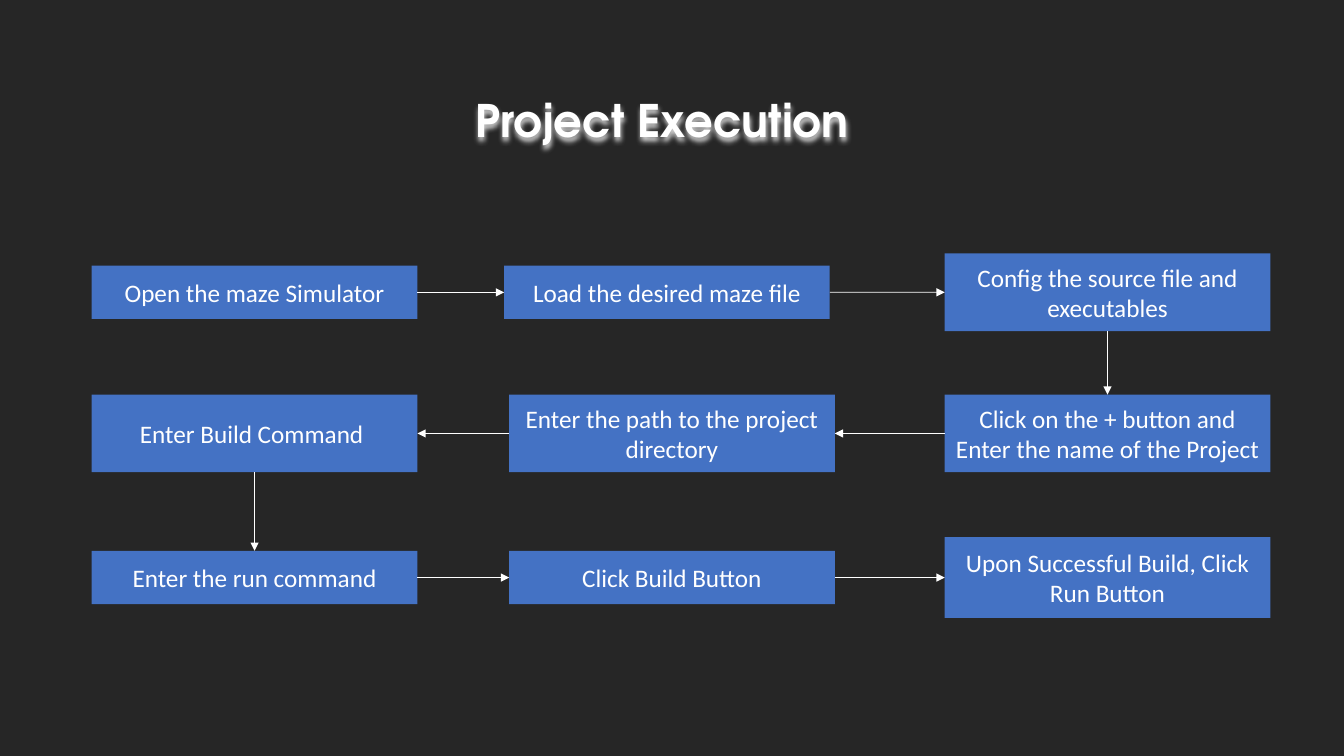
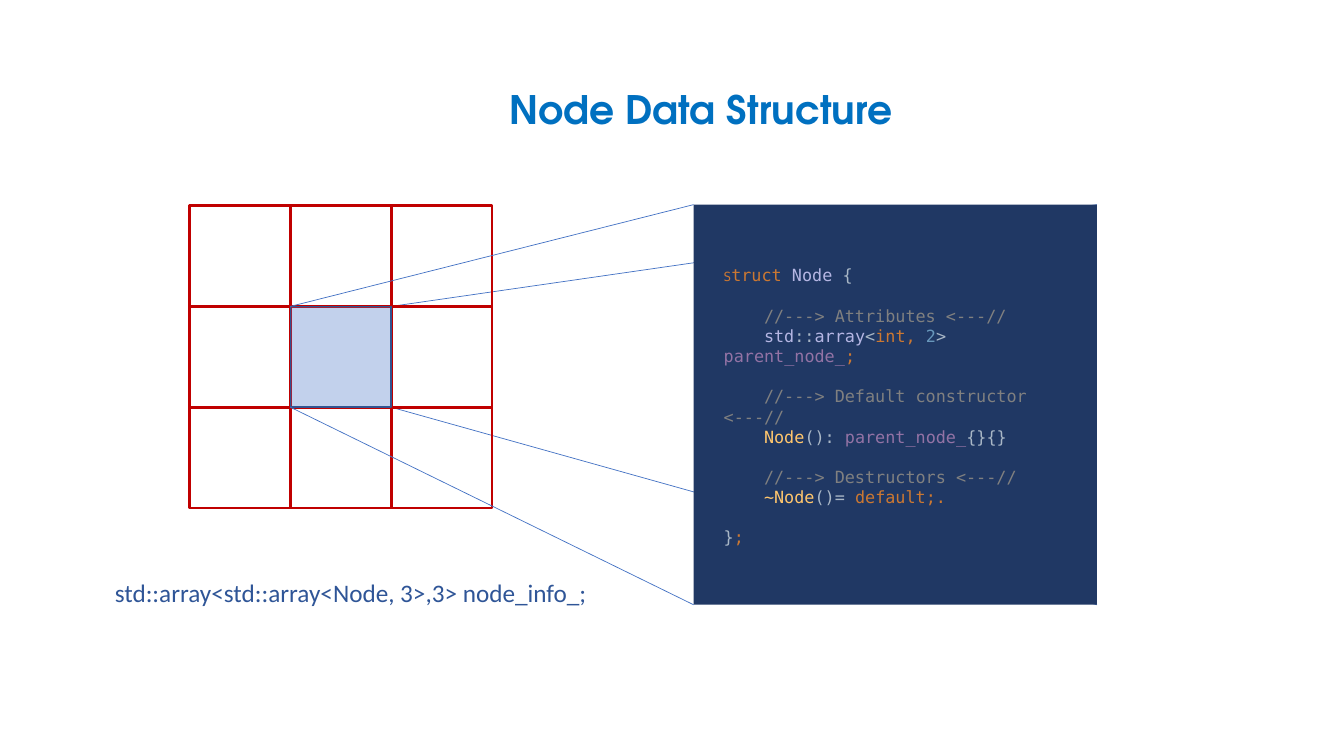
"""Build two slides: a project execution flow and a node data structure."""
from lxml import etree
from pptx import Presentation
from pptx.dml.color import RGBColor
from pptx.enum import shapes, text
from pptx.oxml.ns import qn
from pptx.util import Inches, Pt

WHITE = RGBColor(0xFF, 0xFF, 0xFF)
DARK = RGBColor(0x26, 0x26, 0x26)
BLUE = RGBColor(0x44, 0x72, 0xC4)
TITLE_BLUE = RGBColor(0x00, 0x70, 0xC0)
CELL_EDGE = RGBColor(0x32, 0x54, 0x91)
CAPTION_BLUE = RGBColor(0x2F, 0x55, 0x97)
NAVY = RGBColor(0x20, 0x38, 0x64)
RED = RGBColor(0xC0, 0x00, 0x00)
KEYWORD = RGBColor(0xCC, 0x78, 0x32)
TYPE = RGBColor(0xB5, 0xB6, 0xE3)
PLAIN = RGBColor(0xA9, 0xB7, 0xC6)
COMMENT = RGBColor(0x80, 0x80, 0x80)
NUMBER = RGBColor(0x68, 0x97, 0xBB)
MEMBER = RGBColor(0x93, 0x73, 0xA5)
METHOD = RGBColor(0xFF, 0xC6, 0x6D)

TITLE_FONT, BODY_FONT, CODE_FONT = "TeX Gyre Adventor", "Calibri", "DejaVu Sans Mono"
TOP, LEFT, BOTTOM, RIGHT = range(4)

STEP_W = 3.23
STEPS = [
    ("Open the maze Simulator", 0.91, 2.9, 0.53),
    ("Load the desired maze file", 5, 2.9, 0.53),
    ("Config the source file and executables", 9.37, 2.9, 0.77),
    ("Click on the + button and Enter the name of the Project", 9.37, 4.3, 0.77),
    ("Enter the path to the project directory", 5.05, 4.3, 0.77),
    ("Enter Build Command ", 0.91, 4.3, 0.77),
    ("Enter the run command", 0.91, 5.73, 0.53),
    ("Click Build Button", 5.05, 5.73, 0.53),
    ("Upon Successful Build, Click Run Button", 9.37, 5.73, 0.8),
]
ROUTE = [(RIGHT, LEFT)] * 2 + [(BOTTOM, TOP)] + [(LEFT, RIGHT)] * 2 \
    + [(BOTTOM, TOP)] + [(RIGHT, LEFT)] * 2

GRID_X, GRID_Y, CELL, GRID_N = 1.88, 2.04, 1, 3
PANEL = (6.88, 2.03, 4, 3.97)
CODE_SIZE, CODE_INDENT, CODE_GAP = 12, 0.4, 14.4
CODE = [
    (0, 0, [("S", KEYWORD, 9), ("truct ", KEYWORD), ("Node ", TYPE), ("{", PLAIN)]),
    (1, 1, [("//---> Attributes <---//", COMMENT)]),
    (1, 0, [("std", TYPE), ("::", PLAIN), ("array", TYPE), ("<", PLAIN), ("int, ", KEYWORD),
            ("2", NUMBER), ("> ", PLAIN), ("parent_node_", MEMBER), (";", KEYWORD)]),
    (1, 1, [("//---> Default constructor <---//", COMMENT)]),
    (1, 0, [("Node", METHOD), ("(): ", PLAIN), ("parent_node_", MEMBER), ("{}{}", PLAIN)]),
    (1, 1, [("//---> Destructors <---//", COMMENT)]),
    (1, 0, [("~Node", METHOD), ("()= ", PLAIN), ("default;.", KEYWORD)]),
    (0, 1, [("}", PLAIN), (";", KEYWORD)]),
]


def add_slide(prs, color):
    s = prs.slides.add_slide(prs.slide_layouts[6])
    s.background.fill.solid()
    s.background.fill.fore_color.rgb = color
    return s


def add_run(p, words, font, size, color, bold=False):
    r = p.add_run()
    r.text = words
    r.font.name, r.font.size, r.font.bold = font, Pt(size), bold
    r.font.color.rgb = color


def add_box(s, box, anchor=text.MSO_ANCHOR.TOP):
    sp = s.shapes.add_textbox(*map(Inches, box))
    sp.text_frame.word_wrap = True
    sp.text_frame.vertical_anchor = anchor
    return sp


def add_title(s, words, box, size, color):
    sp = add_box(s, box, text.MSO_ANCHOR.MIDDLE)
    p = sp.text_frame.paragraphs[0]
    p.alignment, p.line_spacing = text.PP_ALIGN.CENTER, 0.9
    add_run(p, words, TITLE_FONT, size, color, True)
    return sp


def add_rect(s, box, fill=None, line=None, width=1):
    sp = s.shapes.add_shape(shapes.MSO_SHAPE.RECTANGLE, *map(Inches, box))
    sp.shadow.inherit = False
    if fill is None:
        sp.fill.background()
    else:
        sp.fill.solid()
        sp.fill.fore_color.rgb = fill
    if line is None:
        sp.line.fill.background()
    else:
        sp.line.color.rgb, sp.line.width = line, Pt(width)
    return sp


def add_line(s, start, end, color, width=0.5):
    ln = s.shapes.add_connector(shapes.MSO_CONNECTOR.STRAIGHT, *map(Inches, start + end))
    ln.line.color.rgb, ln.line.width = color, Pt(width)
    etree.SubElement(ln.element.spPr, qn("a:effectLst"))
    return ln


def add_arrow(s, source, target, sides):
    ln = add_line(s, (0, 0), (1, 1), WHITE)
    ln.begin_connect(source, sides[0])
    ln.end_connect(target, sides[1])
    etree.SubElement(ln.element.spPr.find(qn("a:ln")), qn("a:tailEnd"), type="triangle")


def add_text_shadow(sp):
    effects = etree.SubElement(sp.element.spPr, qn("a:effectLst"))
    shadow = etree.SubElement(effects, qn("a:outerShdw"), blurRad="50800", dist="38100",
                              dir="5400000", algn="t", rotWithShape="0")
    clr = etree.SubElement(shadow, qn("a:srgbClr"), val=str(WHITE))
    etree.SubElement(clr, qn("a:alpha"), val="80000")


def build_execution(prs):
    s = add_slide(prs, DARK)
    add_text_shadow(add_title(s, "Project Execution", (4.45, 0.49, 4.23, 1.45), 32, WHITE))
    steps = []
    for words, x, middle, h in STEPS:
        sp = add_rect(s, (x, middle - h / 2, STEP_W, h), BLUE)
        sp.text_frame.word_wrap = True
        sp.text_frame.vertical_anchor = text.MSO_ANCHOR.MIDDLE
        p = sp.text_frame.paragraphs[0]
        p.alignment = text.PP_ALIGN.CENTER
        add_run(p, words, BODY_FONT, 18, WHITE)
        steps.append(sp)
    for source, target, sides in zip(steps, steps[1:], ROUTE):
        add_arrow(s, source, target, sides)


def build_node(prs):
    s = add_slide(prs, WHITE)
    x, y, w, h = PANEL
    cell_x, cell_y = GRID_X + CELL, GRID_Y + CELL
    corners = [((cell_x + dx * CELL, cell_y + dy * CELL), (x + dx * w, y + dy * h))
               for dx in (1, 0) for dy in (1, 0)]
    for start, end in corners[:2]:
        add_line(s, start, end, BLUE)
    add_title(s, "Node Data Structure", (4.75, 0.78, 4.4, 0.66), 28, TITLE_BLUE)

    side = GRID_N * CELL
    add_rect(s, (GRID_X, GRID_Y, side, side), line=RED, width=2)
    for i in range(1, GRID_N):
        at_x, at_y = GRID_X + i * CELL, GRID_Y + i * CELL
        add_line(s, (at_x, GRID_Y), (at_x, GRID_Y + side), RED, 2)
        add_line(s, (GRID_X, at_y), (GRID_X + side, at_y), RED, 2)
    cell = add_rect(s, (cell_x, cell_y, CELL, CELL), BLUE, CELL_EDGE)
    clr = cell.element.spPr.find(qn("a:solidFill")).find(qn("a:srgbClr"))
    etree.SubElement(clr, qn("a:alpha"), val="32000")

    add_rect(s, PANEL, NAVY)
    for start, end in corners[2:]:
        add_line(s, start, end, BLUE)

    tf = add_box(s, (7.08, 2.61, 3.67, 2.68)).text_frame
    tf.margin_top = Inches(0.02)
    for i, (level, gap, runs) in enumerate(CODE):
        p = tf.add_paragraph() if i else tf.paragraphs[0]
        p.space_before = Pt(gap * CODE_GAP)
        p._p.get_or_add_pPr().set("indent", str(Inches(level * CODE_INDENT)))
        for words, color, *size in runs:
            add_run(p, words, CODE_FONT, size[0] if size else CODE_SIZE, color)

    tf = add_box(s, (1.04, 5.68, 5.12, 0.4)).text_frame
    add_run(tf.paragraphs[0], "std::array<std::array<Node, 3>,3> node_info_;",
            BODY_FONT, 18, CAPTION_BLUE)


prs = Presentation()
prs.slide_width, prs.slide_height = Inches(13.33), Inches(7.5)
build_execution(prs)
build_node(prs)
prs.save("out.pptx")
